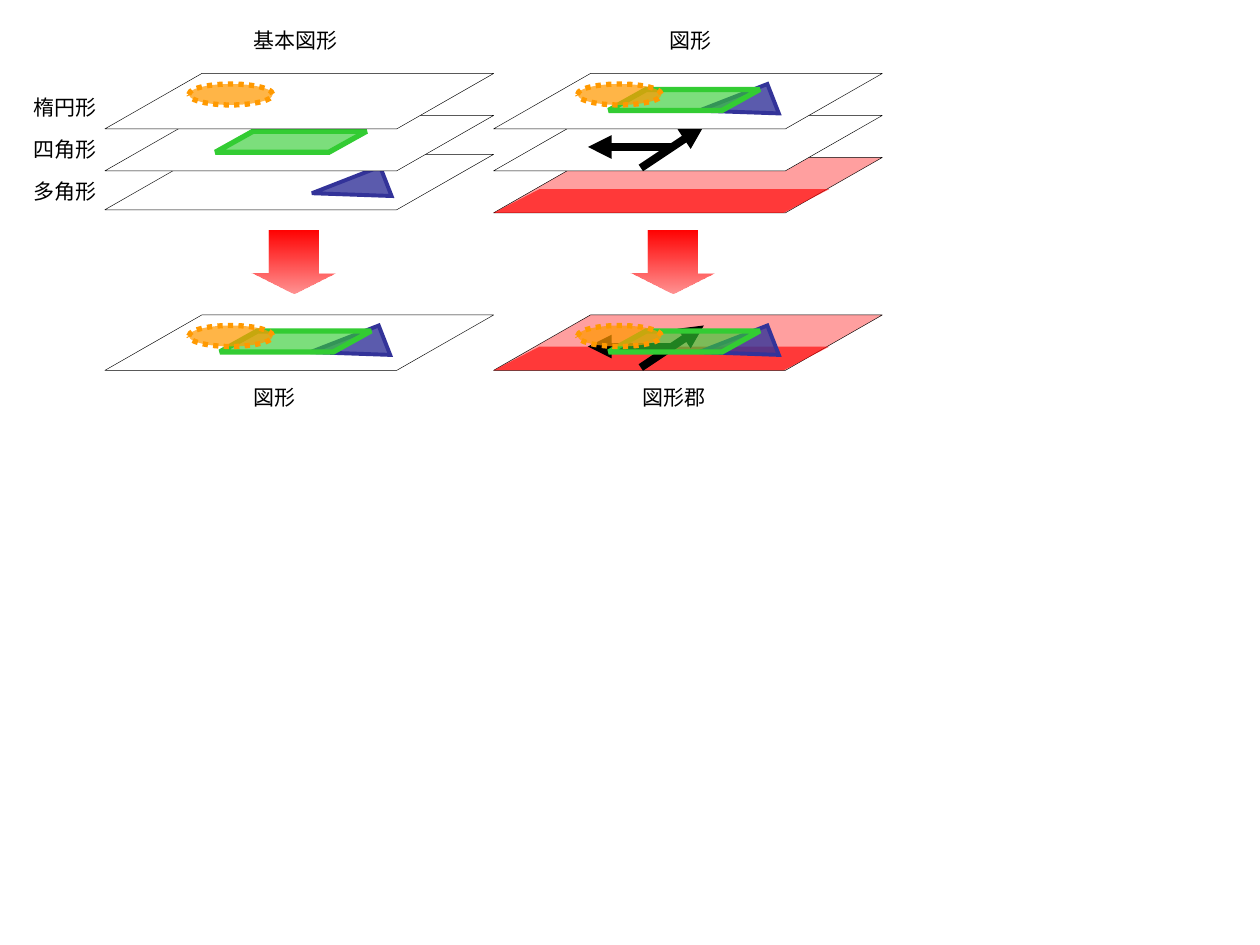
from lxml import etree
from pptx import Presentation
from pptx.dml.color import RGBColor
from pptx.enum.dml import MSO_LINE
from pptx.enum.shapes import MSO_CONNECTOR, MSO_SHAPE as SHAPE
from pptx.enum.text import MSO_AUTO_SIZE
from pptx.oxml import parse_xml
from pptx.oxml.ns import nsdecls, qn
from pptx.util import Pt

COLORS = {"black": "000000", "white": "FFFFFF", "pink": "FF9F9F", "red": "FF0000",
          "green": "33CC33", "blue": "333399", "orange": "FF9900"}
FONT = "Noto Sans CJK JP"

# kind: shape, width, height, adjustments, rotation, fill, opacity %, line, line width
FIGURES = {
    "sheet": (SHAPE.PARALLELOGRAM, 222.2, 31.7, [1.749], 0, "white", 100, "black", 0.25),
    "pink sheet": (SHAPE.PARALLELOGRAM, 222.2, 31.7, [1.749], 0, "pink", 100, "black", 0.25),
    "red band": (SHAPE.PARALLELOGRAM, 192, 13.7, [1.931], 0, "red", 64, None, 0),
    "triangle": (SHAPE.RIGHT_TRIANGLE, 41.8, 18, [], 158.7, "blue", 80, "blue", 2.25),
    "quad": (SHAPE.PARALLELOGRAM, 86.4, 12, [1.796], 0, "green", 64, "green", 3),
    "ellipse": (SHAPE.OVAL, 48, 12, [], 0, "orange", 72, "orange", 3),
    "arrow": (SHAPE.RIGHT_ARROW, 36, 48, [0.589, 0.333], 90, "red", 100, None, 0),
}

prs = Presentation()
prs.slide_width, prs.slide_height = Pt(720), Pt(540)
s = prs.slides.add_slide(prs.slide_layouts[6])


def add_figure(kind, x, y):
    shape, w, h, adjustments, rotation, fill, opacity, line, line_width = FIGURES[kind]
    sp = s.shapes.add_shape(shape, Pt(x), Pt(y), Pt(w), Pt(h))
    sp.shadow.inherit = False
    sp.rotation = rotation
    for i, value in enumerate(adjustments):
        sp.adjustments[i] = value
    sp.fill.solid()
    sp.fill.fore_color.rgb = RGBColor.from_string(COLORS[fill])
    if opacity < 100:
        color = sp._element.spPr.find(qn("a:solidFill"))[0]
        etree.SubElement(color, qn("a:alpha"), val=str(opacity * 1000))
    if line:
        sp.line.color.rgb = RGBColor.from_string(COLORS[line])
        sp.line.width = Pt(line_width)
        if kind == "ellipse":
            sp.line.dash_style = MSO_LINE.ROUND_DOT
        etree.SubElement(sp.line._get_or_add_ln(), qn("a:miter"), lim="800000")
    else:
        sp.line.fill.background()
    return sp


def add_text(text, x, y, size=12, color="black"):
    width = size * len(text) + 15
    tf = s.shapes.add_textbox(Pt(x), Pt(y), Pt(width), Pt(21.6)).text_frame
    tf.word_wrap = False
    tf.auto_size = MSO_AUTO_SIZE.SHAPE_TO_FIT_TEXT
    r = tf.paragraphs[0].add_run()
    r.text = text
    r.font.size = Pt(size)
    r.font.color.rgb = RGBColor.from_string(COLORS[color])
    r.font.name = FONT
    etree.SubElement(r._r.get_or_add_rPr(), qn("a:ea"), typeface=FONT)


LEFT, RIGHT = 59.9, 282
TOP, MIDDLE, BOTTOM, RESULT = 42, 66, 90, 180
# Offsets of each figure from the corner of its sheet
TRIANGLE, QUAD, ELLIPSE = ("triangle", 119.4, 13), ("quad", 65.8, 9.1), ("ellipse", 48, 6)
BAND = ("red band", 0, 18)
COMBINED = [TRIANGLE, QUAD, ELLIPSE]
BLACK_ARROWS = [("line", (102, 18), (54, 18)), ("line", (84.2, 30), (120.2, 6))]

# Sheets from back to front, each with what lies on it
layers = [
    ("sheet", LEFT, 88.2, [("triangle", 120.2, 14)]),
    ("sheet", LEFT, MIDDLE, [("quad", 63.2, 9)]),
    ("sheet", LEFT, TOP, [ELLIPSE]),
    ("sheet", LEFT, RESULT, COMBINED),
    ("pink sheet", RIGHT, BOTTOM, [BAND]),
    ("sheet", RIGHT, MIDDLE, BLACK_ARROWS),
    ("sheet", RIGHT, TOP, COMBINED),
    ("pink sheet", RIGHT, RESULT, [BAND] + BLACK_ARROWS + COMBINED),
]
for sheet, x, y, contents in layers:
    add_figure(sheet, x, y)
    for kind, a, b in contents:
        if kind == "line":
            cx = s.shapes.add_connector(MSO_CONNECTOR.STRAIGHT, Pt(x + a[0]), Pt(y + a[1]),
                                        Pt(x + b[0]), Pt(y + b[1]))
            cx.line.color.rgb = RGBColor.from_string(COLORS["black"])
            cx.line.width = Pt(4.5)
            etree.SubElement(cx.line._get_or_add_ln(), qn("a:tailEnd"), type="triangle")
            etree.SubElement(cx._element.spPr, qn("a:effectLst"))
        else:
            add_figure(kind, x + a, y + b)

# Red arrows fading downwards
for x in (149.7, 366.4):
    sp = add_figure("arrow", x, 126)
    solid = sp._element.spPr.find(qn("a:solidFill"))
    solid.getparent().replace(solid, parse_xml(
        f'<a:gradFill {nsdecls("a")} rotWithShape="0"><a:gsLst>'
        f'<a:gs pos="0"><a:srgbClr val="{COLORS["red"]}"/></a:gs>'
        f'<a:gs pos="100000"><a:srgbClr val="{COLORS["red"]}"><a:alpha val="42000"/></a:srgbClr></a:gs>'
        '</a:gsLst><a:lin ang="5400000" scaled="1"/></a:gradFill>'))

for text, x, y in [("基本図形", 138, 12), ("図形", 375.6, 12),
                   ("図形", 138, 216), ("図形郡", 360, 216)]:
    add_text(text, x, y)
for i, text in enumerate(["楕円形", "四角形", "多角形"]):
    add_text(text, 12, 50.4 + 24 * i)

prs.save("out.pptx")
